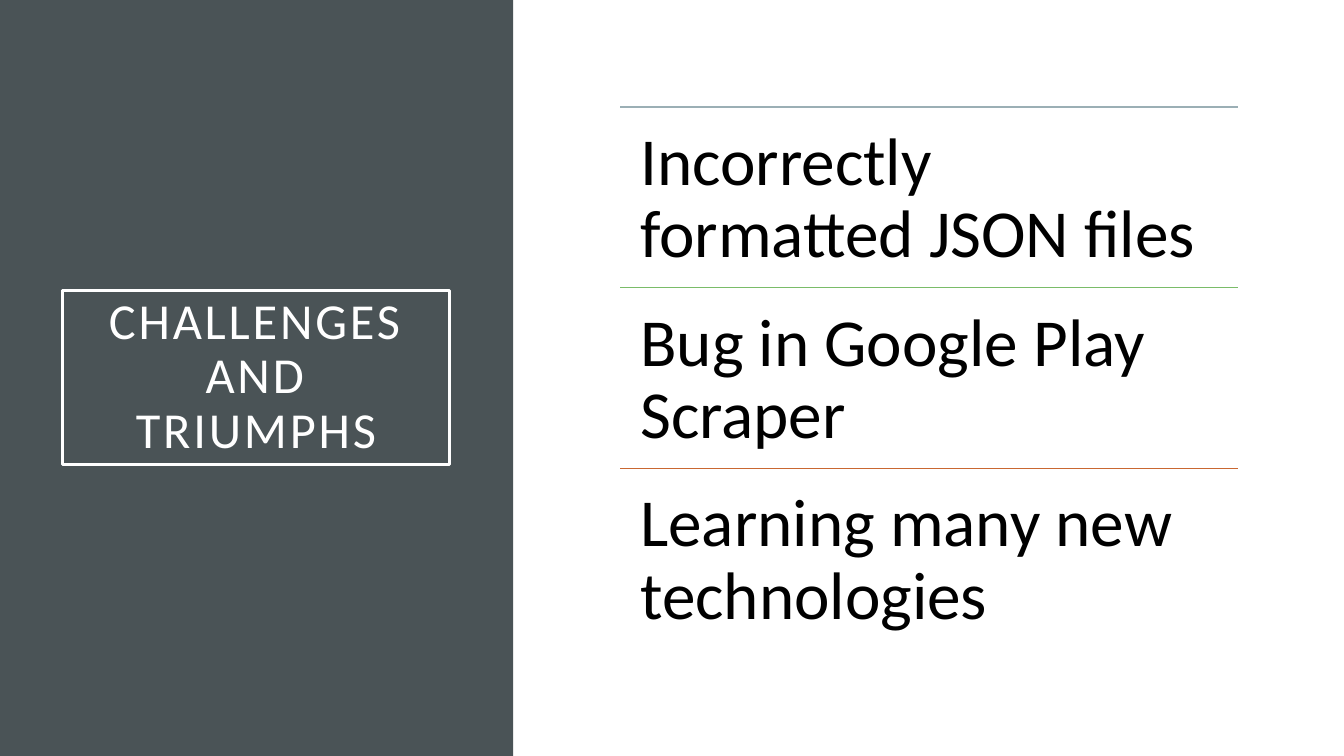
import dataclasses
import typing

import pptx
import pptx.dml.color
import pptx.enum.shapes
import pptx.enum.text
import pptx.oxml
import pptx.oxml.ns
import pptx.util

WIDE, HIGH = 13.33, 7.5
LEFT, TOP, SPAN, STEP = 6.15, 1.06, 6.13, 1.795
ALIGN = pptx.enum.text.PP_ALIGN
ANCHOR = pptx.enum.text.MSO_ANCHOR

FRAME = {
    "word_wrap": True,
    "auto_size": pptx.enum.text.MSO_AUTO_SIZE.NONE,
    **{f"margin_{side}": pptx.util.Inches(0.2) for side in ("left", "top", "right", "bottom")},
}
PARA = {"line_spacing": 0.9, "space_before": pptx.util.Pt(0)}
FONT = {"name": "Calibri", "bold": False}


@dataclasses.dataclass
class Point:
    text: str
    rule: str


POINTS = [
    Point("Incorrectly formatted JSON files", "9BAFB5"),
    Point("Bug in Google Play Scraper", "7ABC69"),
    Point("Learning many new technologies", "C96731"),
]


def apply(item: typing.Any, form: dict) -> None:
    for name, value in form.items():
        setattr(item, name, value)


def tint(code: str) -> pptx.dml.color.RGBColor:
    return pptx.dml.color.RGBColor.from_string(code)


def place(shape: typing.Any, left: float, top: float, width: float, height: float) -> None:
    sides = zip(("left", "top", "width", "height"), (left, top, width, height))
    apply(shape, {name: pptx.util.Inches(value) for name, value in sides})


def write(shape: typing.Any, text: str, size: int, code: str, align: typing.Any, anchor: typing.Any) -> typing.Any:
    frame = shape.text_frame
    frame.text = text
    apply(frame, {**FRAME, "vertical_anchor": anchor})
    para = frame.paragraphs[0]
    props = para._p.get_or_add_pPr()
    props.set("marL", "0")
    props.set("indent", "0")
    props.append(pptx.oxml.parse_xml(f"<a:buNone {pptx.oxml.ns.nsdecls('a')}/>"))
    apply(para, {**PARA, "alignment": align})
    run = para.runs[0]
    apply(run.font, {**FONT, "size": pptx.util.Pt(size)})
    run.font.color.rgb = tint(code)
    return run


def stroke(line: typing.Any, code: str, width: float) -> None:
    line.color.rgb = tint(code)
    line.width = pptx.util.Pt(width)


def panel(slide: typing.Any) -> None:
    kind = pptx.enum.shapes.MSO_SHAPE.RECTANGLE
    shape = slide.shapes.add_shape(kind, 0, 0, 0, 0)
    place(shape, 0, 0, 5.09, HIGH)
    shape.shadow.inherit = False
    shape.fill.solid()
    shape.fill.fore_color.rgb = tint("4A5356")
    shape.line.fill.background()
    slide.shapes._spTree.insert(2, shape._element)


def head(slide: typing.Any) -> None:
    title = slide.shapes.title
    place(title, 0.62, 2.88, 3.84, 1.73)
    stroke(title.line, "FFFFFF", 2.5)
    run = write(title, "CHALLENGES AND TRIUMPHS", 36, "FFFFFF", ALIGN.CENTER, ANCHOR.MIDDLE)
    run.font._element.set("spc", "200")


def row(slide: typing.Any, body: typing.Any, point: Point, top: float) -> None:
    ends = [pptx.util.Inches(value) for value in (LEFT, top, LEFT + SPAN, top)]
    rule = slide.shapes.add_connector(pptx.enum.shapes.MSO_CONNECTOR.STRAIGHT, *ends)
    stroke(rule.line, point.rule, 1)
    rule._element.spPr.append(pptx.oxml.parse_xml(f"<a:effectLst {pptx.oxml.ns.nsdecls('a')}/>"))
    place(body, LEFT, top, SPAN, STEP)
    write(body, point.text, 48, "000000", ALIGN.LEFT, ANCHOR.TOP)


def main() -> None:
    deck = pptx.Presentation()
    apply(deck, {"slide_width": pptx.util.Inches(WIDE), "slide_height": pptx.util.Inches(HIGH)})
    slide = deck.slides.add_slide(deck.slide_layouts.get_by_name("Comparison"))
    panel(slide)
    head(slide)
    first, *rest = list(slide.placeholders)[1:]
    *more, spare = rest
    spare._element.getparent().remove(spare._element)
    for rank, (body, point) in enumerate(zip([first, *more], POINTS)):
        row(slide, body, point, TOP + rank * STEP)
    deck.save("out.pptx")


if __name__ == "__main__":
    main()
